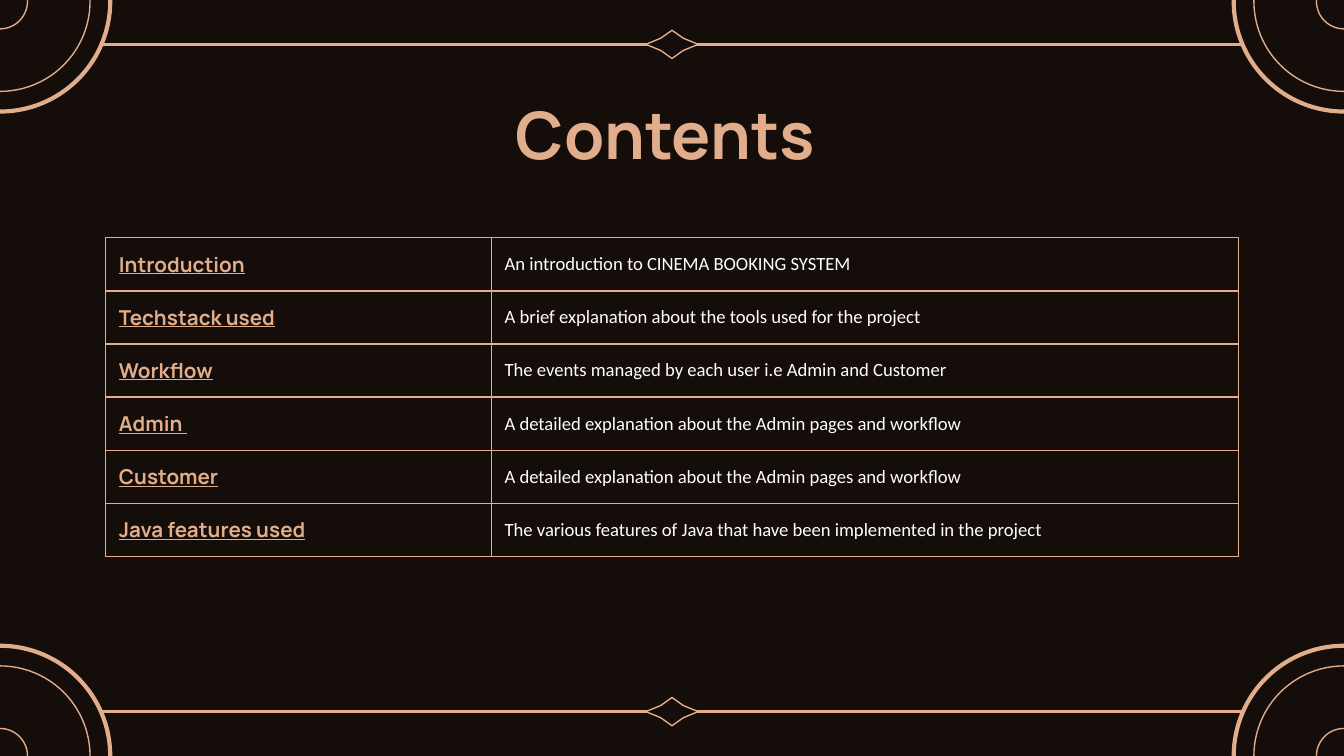
from dataclasses import dataclass
from itertools import product

from lxml import etree
from pptx import Presentation
from pptx.dml.color import RGBColor
from pptx.enum.shapes import MSO_CONNECTOR, MSO_SHAPE
from pptx.enum.text import MSO_ANCHOR, PP_ALIGN
from pptx.oxml.ns import qn
from pptx.util import Inches, Pt


@dataclass(frozen=True)
class Theme:
    dark: str = "140D0A"
    copper: str = "E1AD8B"
    white: str = "FFFFFF"
    heading_font: str = "Manrope"
    body_font: str = "Calibri"
    title_size: float = 35
    topic_size: float = 11
    body_size: float = 10
    thin: float = 0.75
    rule: float = 1.5
    thick: float = 2.25


THEME = Theme()
WIDTH = 10
HEIGHT = WIDTH * 9 / 16
CONTENT_WIDTH = 8.43
CONTENTS = [
    ("Introduction", "An introduction to CINEMA BOOKING SYSTEM"),
    ("Techstack used", "A brief explanation about the tools used for the project"),
    ("Workflow", "The events managed by each user i.e Admin and Customer"),
    ("Admin ", "A detailed explanation about the Admin pages and workflow"),
    ("Customer", "A detailed explanation about the Admin pages and workflow"),
    ("Java features used",
     "The various features of Java that have been implemented in the project"),
]


def color(value):
    return RGBColor.from_string(value)


def add_run(p, text, font, size, fill, bold=False, underline=False):
    r = p.add_run()
    r.text = text
    r.font.name, r.font.size = font, Pt(size)
    r.font.bold, r.font.underline = bold, underline
    r.font.color.rgb = color(fill)


def add_centered(s, kind, cx, cy, w, h, weight, filled=True):
    """Add an outlined shape around the centre (cx, cy)."""
    sp = s.shapes.add_shape(kind, Inches(cx - w / 2), Inches(cy - h / 2),
                            Inches(w), Inches(h))
    sp.shadow.inherit = False
    if filled:
        sp.fill.solid()
        sp.fill.fore_color.rgb = color(THEME.dark)
    else:
        sp.fill.background()
    sp.line.color.rgb = color(THEME.copper)
    sp.line.width = Pt(weight)
    return sp


def add_corner(s, cx, cy):
    for size, weight, filled in ((1.64, THEME.thick, True),
                                 (1.34, THEME.thin, False),
                                 (0.41, THEME.thin, True)):
        add_centered(s, MSO_SHAPE.OVAL, cx, cy, size, size, weight, filled)


def add_divider(s, left, y, width):
    """Add a horizontal rule with a star in its middle."""
    rule = s.shapes.add_connector(MSO_CONNECTOR.STRAIGHT, Inches(left), Inches(y),
                                  Inches(left + width), Inches(y))
    rule.line.color.rgb = color(THEME.copper)
    rule.line.width = Pt(THEME.rule)
    etree.SubElement(rule._element.spPr, qn("a:effectLst"))
    star = add_centered(s, MSO_SHAPE.STAR_4_POINT, left + width / 2, y,
                        0.39, 0.21, THEME.thin)
    star.adjustments[0] = 0.305


def add_frame(s, width, height):
    for cx, cy in product((0, width), (0.01, height)):
        add_corner(s, cx, cy)
    for y in (0.33, height - 0.33):
        add_divider(s, 0.75, y, width - 1.5)


def add_title(s, left, top, width, height):
    box = s.shapes.add_textbox(Inches(left), Inches(top), Inches(width), Inches(height))
    tf = box.text_frame
    tf.word_wrap = True
    tf.vertical_anchor = MSO_ANCHOR.TOP
    tf.margin_left = tf.margin_right = tf.margin_top = tf.margin_bottom = Inches(0.1)
    p = tf.paragraphs[0]
    p.alignment = PP_ALIGN.CENTER
    p.line_spacing = 0.94
    add_run(p, "Contents ", THEME.heading_font, THEME.title_size, THEME.copper, bold=True)


def set_borders(cell):
    tc_pr = cell._tc.get_or_add_tcPr()
    for i, side in enumerate(("lnL", "lnR", "lnT", "lnB")):
        ln = etree.Element(qn(f"a:{side}"), w=str(Pt(THEME.thin)))
        fill = etree.SubElement(ln, qn("a:solidFill"))
        etree.SubElement(fill, qn("a:srgbClr"), val=THEME.copper)
        tc_pr.insert(i, ln)


def add_contents_table(s, left, top, width, height):
    frame = s.shapes.add_table(len(CONTENTS), 2, Inches(left), Inches(top),
                               Inches(width), Inches(height))
    table = frame.table
    table.first_row = table.horz_banding = False
    topic_width = 2.87
    table.columns[0].width = Inches(topic_width)
    table.columns[1].width = Inches(width - topic_width)
    styles = (
        (THEME.heading_font, THEME.topic_size, THEME.copper, True, True),
        (THEME.body_font, THEME.body_size, THEME.white, False, False),
    )
    for row, texts in zip(table.rows, CONTENTS):
        for cell, text, style in zip(row.cells, texts, styles):
            cell.fill.background()
            cell.vertical_anchor = MSO_ANCHOR.MIDDLE
            cell.margin_left = cell.margin_right = Inches(0.1)
            cell.margin_top = cell.margin_bottom = 0
            set_borders(cell)
            add_run(cell.text_frame.paragraphs[0], text, *style)


def main():
    prs = Presentation()
    prs.slide_width, prs.slide_height = Inches(WIDTH), Inches(HEIGHT)
    s = prs.slides.add_slide(prs.slide_layouts[6])
    s.background.fill.solid()
    s.background.fill.fore_color.rgb = color(THEME.dark)
    left = (WIDTH - CONTENT_WIDTH) / 2
    add_frame(s, WIDTH, HEIGHT)
    add_title(s, left, 0.65, CONTENT_WIDTH, 0.63)
    add_contents_table(s, left, 1.77, CONTENT_WIDTH, 2.37)
    prs.save("out.pptx")


if __name__ == "__main__":
    main()
